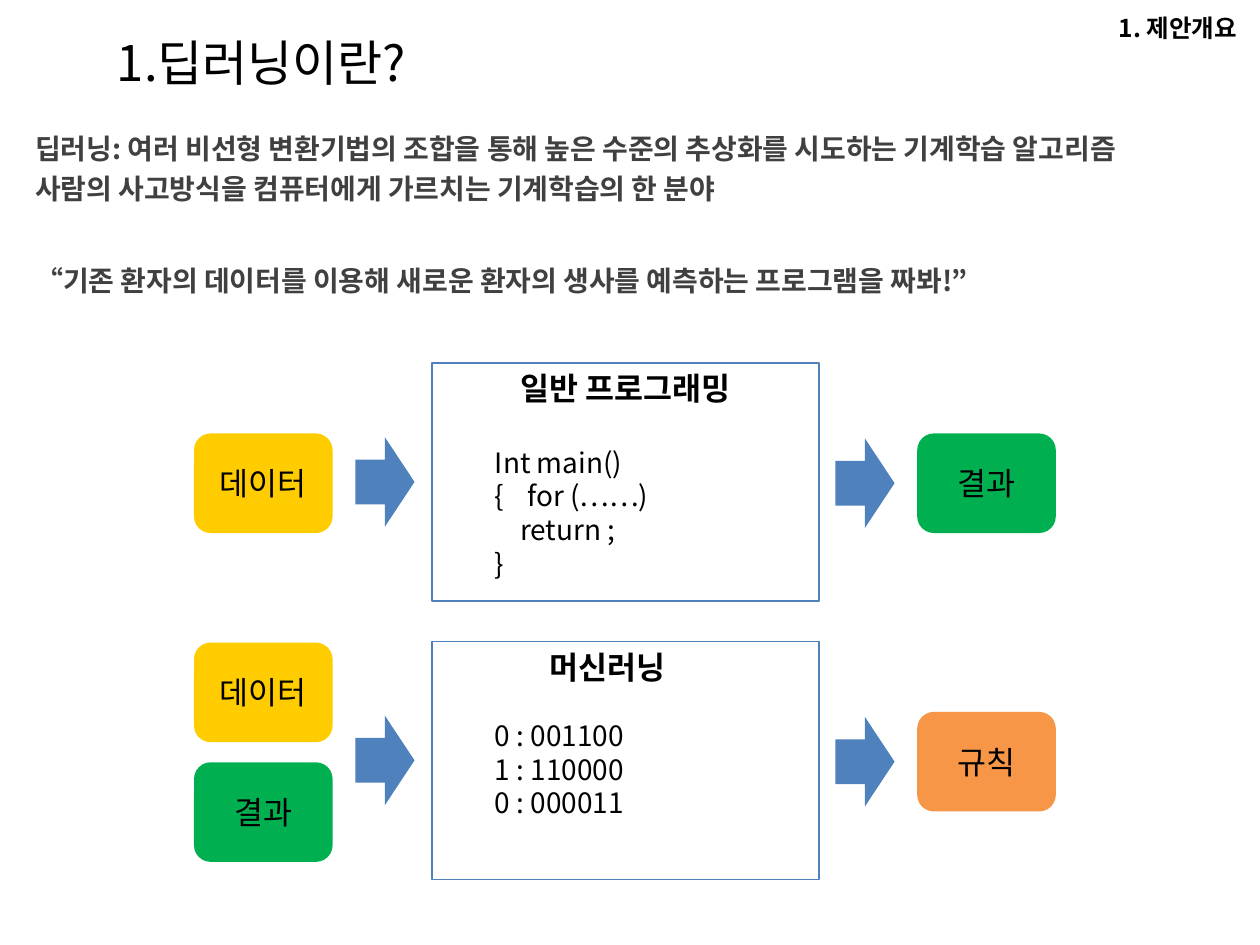
from dataclasses import dataclass

from lxml.etree import SubElement
from pptx import Presentation
from pptx.dml.color import RGBColor
from pptx.enum.shapes import MSO_SHAPE as Shape
from pptx.enum.text import MSO_ANCHOR as Anchor, PP_ALIGN as Align
from pptx.oxml.ns import qn
from pptx.util import Inches, Pt


@dataclass(frozen=True)
class Theme:
    """Colours, type sizes and font of the deck."""
    font: str = "Noto Sans CJK KR"
    ink: str = "000000"
    grey: str = "404040"
    blue: str = "4F81BD"
    yellow: str = "FFCC00"
    green: str = "00B050"
    orange: str = "F79646"
    title: int = 28
    label: int = 18
    body: int = 16
    header: int = 14


class SlideBuilder:
    """Draws elements on a page with a grid of 100 columns by 75 rows."""

    def __init__(self, deck, theme):
        """Add a blank page to the deck."""
        self.theme = theme
        self.page = deck.slides.add_slide(deck.slide_layouts[6])
        self.shapes = self.page.shapes
        self.cell = deck.slide_width / 100

    def place(self, *grid):
        """Turn grid units into lengths."""
        return [round(value * self.cell) for value in grid]

    def group(self):
        """Send the following shapes to a new group."""
        self.shapes = self.page.shapes.add_group_shape().shapes

    def fill_para(self, para, text, size, color=None, bold=False, margins=None, **formats):
        """Fill a paragraph with one styled span."""
        for name, value in {"alignment": Align.LEFT, **formats}.items():
            setattr(para, name, value)
        for name, inches in (margins or {}).items():
            para._p.get_or_add_pPr().set(name, str(Inches(inches)))
        span = para.add_run()
        span.text = text
        style = {"size": Pt(size), "bold": bold, "name": self.theme.font}
        for name, value in style.items():
            setattr(span.font, name, value)
        span.font.color.rgb = RGBColor.from_string(color or self.theme.ink)
        SubElement(span.font._element, qn("a:ea"), typeface=self.theme.font)

    def text(self, grid, lines, size, color=None, bold=False, inset=True, **formats):
        """Add a wrapping text box with one paragraph per line."""
        frame = self.page.shapes.add_textbox(*self.place(*grid)).text_frame
        frame.word_wrap = True
        if not inset:
            for side in ("left", "top", "right", "bottom"):
                setattr(frame, f"margin_{side}", 0)
        for index, line in enumerate(lines):
            para = frame.add_paragraph() if index else frame.paragraphs[0]
            self.fill_para(para, line, size, color, bold, **formats)

    def shape(self, kind, grid, fill=None, line=None):
        """Add a flat preset shape."""
        shape = self.shapes.add_shape(kind, *self.place(*grid))
        shape.shadow.inherit = False
        for part, color in ((shape.fill, fill), (shape.line.fill, line)):
            if color:
                part.solid()
                part.fore_color.rgb = RGBColor.from_string(color)
            else:
                part.background()
        if line:
            shape.line.width = Pt(0.75)
        return shape

    def block(self, left, top, label, fill):
        """Add a rounded block with a centred label."""
        frame = self.shape(Shape.ROUNDED_RECTANGLE, (left, top, 11, 7.9), fill).text_frame
        frame.vertical_anchor = Anchor.MIDDLE
        self.fill_para(frame.paragraphs[0], label, self.theme.label, alignment=Align.CENTER)

    def arrow(self, left, top):
        """Add an arrow that points right."""
        self.shape(Shape.RIGHT_ARROW, (left, top, 4.7, 7.1), self.theme.blue)

    def panel(self, top, heading, lines, gap, heading_margins=None):
        """Add an outlined panel with a heading above indented lines."""
        frame = self.shape(Shape.RECTANGLE, (34.3, top, 30.7, 18.9), line=self.theme.blue).text_frame
        frame.vertical_anchor = Anchor.TOP
        self.fill_para(frame.paragraphs[0], heading, self.theme.label, bold=True,
                       margins=heading_margins, alignment=Align.CENTER)
        for index, (line, margins) in enumerate(lines):
            self.fill_para(frame.add_paragraph(), line, self.theme.body, margins=margins,
                           space_before=Pt(0 if index else gap))

    def flow(self, top, heading, lines, gap, inputs, output, heading_margins=None):
        """Add a group that leads from inputs through a panel to an output."""
        self.group()
        self.panel(top, heading, lines, gap, heading_margins)
        for offset, label, fill in inputs:
            self.block(15.4, top + offset, label, fill)
        self.block(72.8, top + 5.6, *output)
        self.arrow(28.2, top + 5.9)
        self.arrow(66.3, top + 6)


def main():
    """Build and save the deck."""
    deck = Presentation()
    deck.slide_width, deck.slide_height = Inches(10), Inches(7.5)
    theme = Theme()
    slide = SlideBuilder(deck, theme)

    slide.text((8.3, 2.1, 74.8, 5.7), ["1.딥러닝이란?"], theme.title)
    slide.text((87.8, 0.5, 28.4, 3.2), ["1. 제안개요"], theme.header, bold=True)

    flush, nested = {"marL": 0.4}, {"marL": 0.6}
    hanging = {"marL": 0.66, "indent": -0.26}
    code = [("Int main()", flush), ("{\tfor (……)", hanging), ("return ;", nested), ("}", flush)]
    bits = [(line, flush) for line in ("0 : 001100", "1 : 110000", "0 : 000011")]
    data, result = ("데이터", theme.yellow), ("결과", theme.green)

    slide.flow(28.8, "일반 프로그래밍", code, 22, [(5.6, *data)], result)
    slide.flow(50.9, "머신러닝", bits, 19, [(0.1, *data), (9.6, *result)],
               ("규칙", theme.orange), {"marR": 0.29})

    definition = [
        "딥러닝: 여러 비선형 변환기법의 조합을 통해 높은 수준의 추상화를 시도하는 기계학습 알고리즘",
        "사람의 사고방식을 컴퓨터에게 가르치는 기계학습의 한 분야",
    ]
    quote = ["“기존 환자의 데이터를 이용해 새로운 환자의 생사를 예측하는 프로그램을 짜봐!”"]
    for top, height, lines in ((9.9, 6.2, definition), (20.4, 3, quote)):
        slide.text((2.8, top, 94.5, height), lines, theme.body, theme.grey,
                   bold=True, inset=False, line_spacing=1.2)

    deck.save("out.pptx")


if __name__ == "__main__":
    main()
